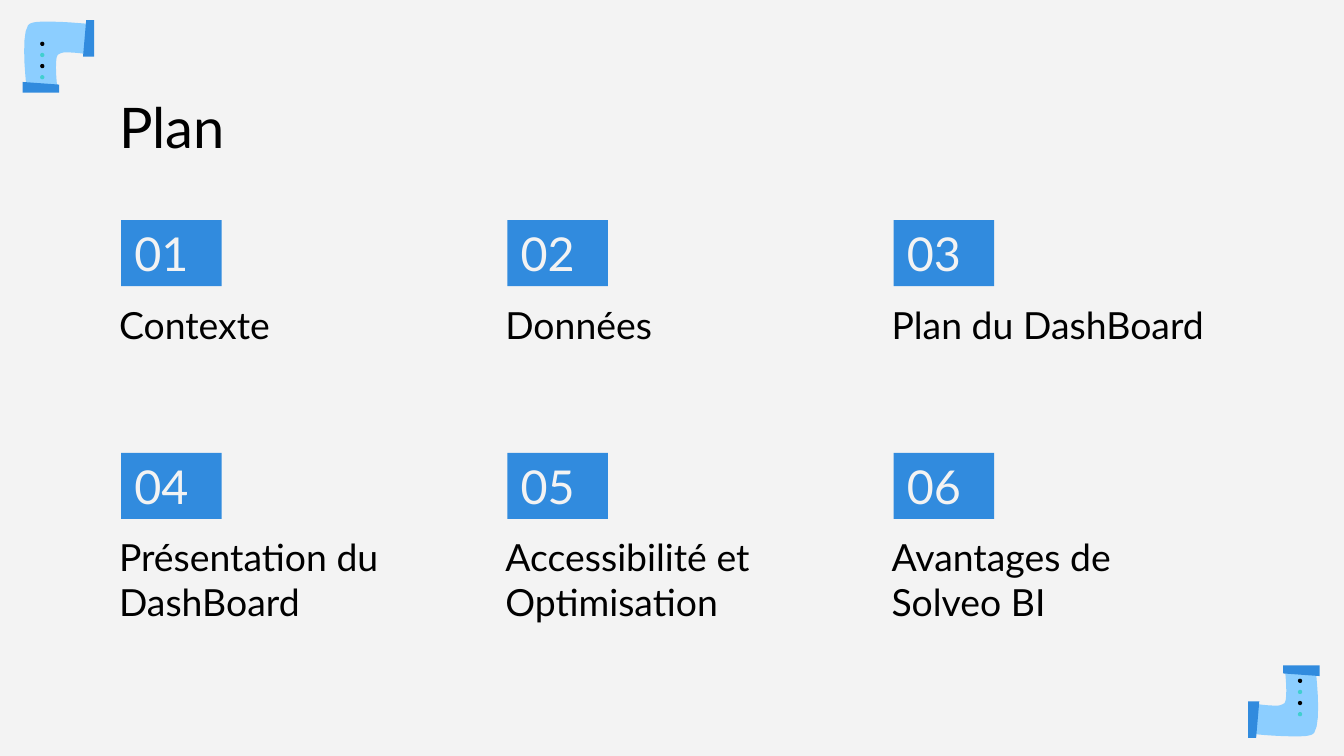
import pptx
import pptx.util
import pptx.dml.color
import pptx.enum.shapes
import pptx.enum.text

Cm = pptx.util.Cm
RGBColor = pptx.dml.color.RGBColor
SHAPE = pptx.enum.shapes.MSO_SHAPE
ANCHOR = pptx.enum.text.MSO_ANCHOR

PAPER = RGBColor(0xF3, 0xF3, 0xF3)
BLUE = RGBColor(0x31, 0x8B, 0xDE)
SKY = RGBColor(0x8C, 0xCE, 0xFF)
TEAL = RGBColor(0x40, 0xCF, 0xCF)
BLACK = RGBColor(0, 0, 0)

FONT = "Lato"
TOPICS = [
    "Contexte", "Données", "Plan du DashBoard",
    "Présentation du DashBoard", "Accessibilité et Optimisation",
    "Avantages de Solveo BI",
]
COLS = 3
COL_GAP, ROW_GAP = 7.3, 4.4
LABEL_HIGH = (1.09, 1.93)

ELBOW = [
    [(0.91, 0.41), (0.74, 0.41), (0.58, 0.41), (0.53, 0.48)],
    [(0.53, 0.48), (0.38, 0.69), (0.51, 1.73), (0.51, 1.73)],
    [(1.09, 1.73), (1.09, 1.73), (1.02, 1.12), (1.09, 1.04)],
    [(1.09, 1.04), (1.12, 1.02), (1.17, 0.99), (1.24, 0.99)],
    [(1.24, 0.99), (1.45, 0.99), (1.75, 1.04), (1.75, 1.04)],
    [(1.75, 0.46), (1.75, 0.46), (1.27, 0.41), (0.91, 0.41)],
]
MOUTH = [(1.63, 0.38), (1.57, 1.07), (1.78, 1.07), (1.78, 0.38)]
FOOT = [(0.43, 1.55), (0.43, 1.75), (1.12, 1.75), (1.12, 1.6)]
RIVETS = [(0.8, 0.83 + 0.21 * i) for i in range(4)]
RIVET = 0.08


def curve(ends, steps=8):
    """Return points along a cubic curve."""
    points = []
    for i in range(steps + 1):
        t = i / steps
        parts = ((1 - t) ** 3, 3 * t * (1 - t) ** 2, 3 * t * t * (1 - t), t ** 3)
        points.append(tuple(sum(w * p[axis] for w, p in zip(parts, ends))
                            for axis in (0, 1)))
    return points


def stay(point):
    """Keep a point in the top left corner."""
    return point


def turn(point):
    """Turn a point by half a circle into the bottom right corner."""
    return 25.37 - point[0], 14.33 - point[1]


def paint(shape, color):
    """Fill a shape flat, without line or shadow."""
    shape.shadow.inherit = False
    shape.fill.solid()
    shape.fill.fore_color.rgb = color
    shape.line.fill.background()


def add_patch(slide, points, color):
    """Add a closed outline."""
    spots = [(Cm(x), Cm(y)) for x, y in points]
    pen = slide.shapes.build_freeform(*spots[0])
    pen.add_line_segments(spots[1:], close=True)
    paint(pen.convert_to_shape(), color)


def add_pipe(slide, move, colors):
    """Add a pipe elbow with two bands and four rivets."""
    body = [point for ends in ELBOW for point in curve(ends)]
    for points, color in ((body, SKY), (MOUTH, BLUE), (FOOT, BLUE)):
        add_patch(slide, [move(point) for point in points], color)
    for i, spot in enumerate(RIVETS):
        x, y = move(spot)
        dot = slide.shapes.add_shape(
            SHAPE.OVAL, Cm(x - RIVET / 2), Cm(y - RIVET / 2), Cm(RIVET), Cm(RIVET))
        paint(dot, colors[i % 2])


def write(shape, text, size, color, anchor):
    """Write one left-aligned run into a shape."""
    frame = shape.text_frame
    frame.word_wrap = True
    frame.auto_size = pptx.enum.text.MSO_AUTO_SIZE.NONE
    frame.vertical_anchor = anchor
    frame.margin_left = frame.margin_right = Cm(0.25)
    frame.margin_top = frame.margin_bottom = Cm(0.25)
    line = frame.paragraphs[0]
    line.alignment = pptx.enum.text.PP_ALIGN.LEFT
    run = line.add_run()
    run.text = text
    run.font.name = FONT
    run.font.size = pptx.util.Pt(size)
    run.font.color.rgb = color


def add_title(slide, text):
    """Place and fill the title."""
    title = slide.shapes.title
    title.left, title.top = Cm(2), Cm(1.5)
    title.width, title.height = Cm(21.4), Cm(1.6)
    write(title, text, 30, BLACK, ANCHOR.TOP)


def add_topic(slide, index, text):
    """Add a numbered badge with its label below."""
    row, col = divmod(index, COLS)
    x, y = col * COL_GAP, row * ROW_GAP
    badge = slide.shapes.add_shape(
        SHAPE.RECTANGLE, Cm(2.29 + x), Cm(4.16 + y), Cm(1.9), Cm(1.25))
    paint(badge, BLUE)
    write(badge, f"{index + 1:02}", 25, PAPER, ANCHOR.MIDDLE)
    label = slide.shapes.add_textbox(
        Cm(2 + x), Cm(5.72 + y), Cm(6.78), Cm(LABEL_HIGH[row]))
    write(label, text, 20, BLACK, ANCHOR.BOTTOM)


def main():
    """Build the plan slide."""
    deck = pptx.Presentation()
    deck.slide_width, deck.slide_height = Cm(25.4), Cm(14.29)
    slide = deck.slides.add_slide(deck.slide_layouts[5])
    slide.background.fill.solid()
    slide.background.fill.fore_color.rgb = PAPER
    add_pipe(slide, turn, (TEAL, BLACK))
    add_pipe(slide, stay, (BLACK, TEAL))
    add_title(slide, "Plan")
    for index, text in enumerate(TOPICS):
        add_topic(slide, index, text)
    deck.save("out.pptx")


if __name__ == "__main__":
    main()
